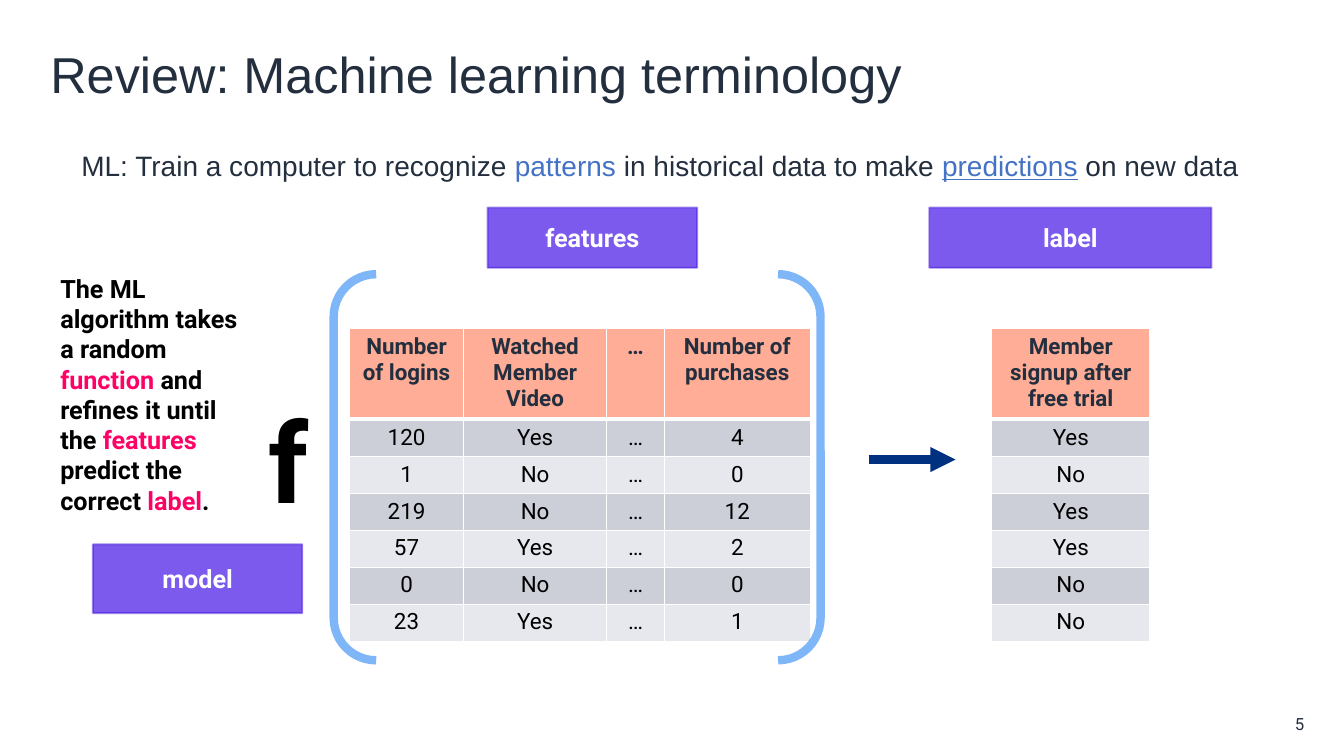
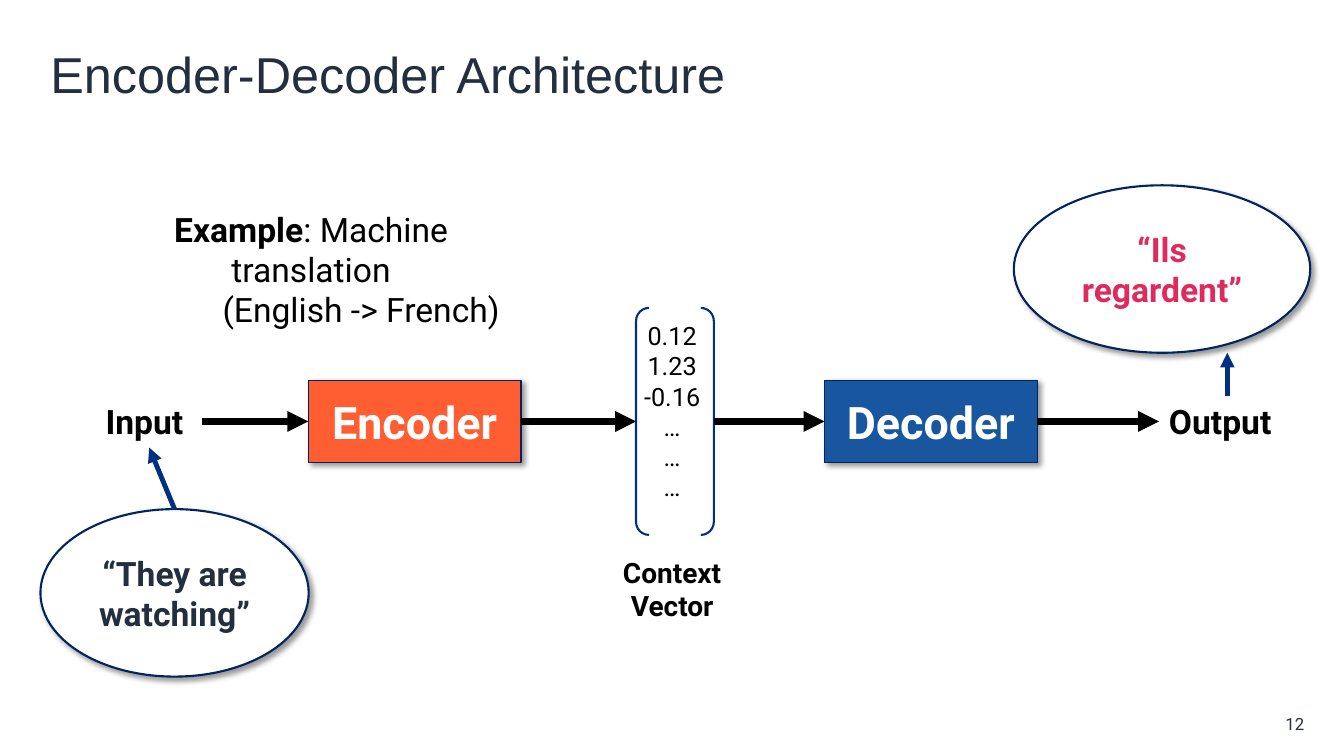
from lxml.etree import SubElement
from pptx import Presentation
from pptx.dml.color import RGBColor
from pptx.enum.shapes import MSO_CONNECTOR, MSO_SHAPE
from pptx.enum.text import MSO_ANCHOR as Anchor, PP_ALIGN as Align
from pptx.oxml.ns import qn
from pptx.util import Cm, Pt

INK, BLACK, WHITE = "232F3E", "000000", "FFFFFF"
NAVY, DEEP_NAVY, LINK, PINK = "003181", "00245F", "4472C4", "FF0066"
PURPLE, PURPLE_EDGE, BRACKET = "7C5AED", "4618DD", "006FF0"
HEADER_FILL, BAND_FILLS = "FFAD97", ("CCCED8", "E7E8ED")

TITLE = dict(name="Arial", size=36, color=INK)
SENTENCE = TITLE | dict(size=20)
NUMBER = dict(name="Roboto", size=12, color=INK)
BODY = dict(name="Roboto", size=18, color=BLACK)
STRONG = BODY | dict(bold=True)
LARGE = BODY | dict(size=24)
LARGE_STRONG = LARGE | dict(bold=True)
TAG = STRONG | dict(color=WHITE)
STAGE = TAG | dict(size=32)
CELL = BODY | dict(size=16)
HEADER = CELL | dict(color=INK, bold=True)

DEFINITION = [[
    ("ML: Train a computer to recognize ", {}),
    ("patterns", dict(color=LINK)),
    (" in historical data to make ", {}),
    ("predictions", dict(color=LINK, underline=True)),
    (" on new data", {}),
]]
ALGORITHM = [[
    ("The ML algorithm takes a random ", {}),
    ("function", dict(color=PINK)),
    (" and refines it until the ", {}),
    ("features", dict(color=PINK)),
    (" predict the correct ", {}),
    ("label", dict(color=PINK)),
    (".", {}),
]]
EXAMPLE = [
    [("Example", dict(bold=True)), (": Machine translation", {})],
    [("(English -> French)", {})],
]
VECTOR = ["0.12", "1.23", "-0.16", "…", "…", "…"]
TAGS = [
    ("features", (12.29, 5.23, 5.28, 1.52)),
    ("label", (23.42, 5.23, 7.11, 1.52)),
    ("model", (2.34, 13.72, 5.28, 1.73)),
]
TABLES = [
    (8.81, (2.87, 3.61, 1.45, 3.68), [
        ("Number of logins", "Watched Member Video", "…", "Number of purchases"),
        ("120", "Yes", "…", "4"),
        ("1", "No", "…", "0"),
        ("219", "No", "…", "12"),
        ("57", "Yes", "…", "2"),
        ("0", "No", "…", "0"),
        ("23", "Yes", "…", "1"),
    ]),
    (24.99, (3.99,), [
        ("Member signup after free trial",),
        ("Yes",), ("No",), ("Yes",), ("Yes",), ("No",), ("No",),
    ]),
]
TABLE_TOP, HEADER_HEIGHT, ROW_HEIGHT = 8.28, 2.17, 0.91
STAGES = [("Encoder", 7.77, "FF5D32"), ("Decoder", 20.78, "1857A0")]
BUBBLES = [
    ("“They are watching”", (1.02, 12.83, 6.76, 4.22), INK),
    ("“Ils regardent”", (25.55, 4.67, 7.47, 4.22), "DF2A5D"),
]
ENDS = [("Input", (2.41, 9.98, 2.69, 1.28)), ("Output", (29.21, 9.98, 3.44, 1.28))]
TOP, LEFT, RIGHT = 0, 1, 3


def rgb(value):
    return RGBColor.from_string(value)


def format_run(run, style):
    for key, value in style.items():
        if key == "color":
            run.font.color.rgb = rgb(value)
        else:
            setattr(run.font, key, Pt(value) if key == "size" else value)


def write(frame, paragraphs, style, align=Align.LEFT, anchor=Anchor.TOP):
    frame.word_wrap = True
    frame.vertical_anchor = anchor
    for index, runs in enumerate(paragraphs):
        paragraph = frame.add_paragraph() if index else frame.paragraphs[0]
        paragraph.alignment = align
        for text, changes in [(runs, {})] if isinstance(runs, str) else runs:
            run = paragraph.add_run()
            run.text = text
            format_run(run, style | changes)


def add_text(slide, box, paragraphs, style, **layout):
    shape = slide.shapes.add_textbox(*map(Cm, box))
    write(shape.text_frame, paragraphs, style, **layout)
    return shape


def set_line(shape, color, width, alpha=None):
    shape.line.color.rgb = rgb(color)
    shape.line.width = Pt(width)
    if alpha:
        paint = shape.line._get_or_add_ln().find(".//" + qn("a:srgbClr"))
        SubElement(paint, qn("a:alpha"), val=str(alpha * 1000))


def add_shadow(shape):
    effects = shape._element.spPr.find(qn("a:effectLst"))
    shadow = SubElement(effects, qn("a:outerShdw"), blurRad=str(Pt(4)),
                        dist=str(Pt(3)), dir=str(45 * 60000), algn="tl", rotWithShape="0")
    paint = SubElement(shadow, qn("a:srgbClr"), val=BLACK)
    SubElement(paint, qn("a:alpha"), val="40000")


def add_figure(slide, kind, box, line, fill=None, text=None, style=None, shadow=False):
    shape = slide.shapes.add_shape(kind, *map(Cm, box))
    shape.shadow.inherit = False
    if fill:
        shape.fill.solid()
        shape.fill.fore_color.rgb = rgb(fill)
    else:
        shape.fill.background()
    set_line(shape, *line)
    if shadow:
        add_shadow(shape)
    if text:
        write(shape.text_frame, [text], style, Align.CENTER, Anchor.MIDDLE)
    return shape


def add_arrow(slide, color, width, start=(0, 0), end=(0, 0), begin_at=None, end_at=None):
    arrow = slide.shapes.add_connector(MSO_CONNECTOR.STRAIGHT, *map(Cm, start + end))
    if begin_at:
        arrow.begin_connect(*begin_at)
    if end_at:
        arrow.end_connect(*end_at)
    set_line(arrow, color, width)
    SubElement(arrow.line._get_or_add_ln(), qn("a:tailEnd"), type="triangle")
    SubElement(arrow._element.spPr, qn("a:effectLst"))


def set_borders(cell, header):
    properties = cell._tc.get_or_add_tcPr()
    for side in "LRTB":
        width = 3 if header and side == "B" else 1
        border = SubElement(properties, qn("a:ln" + side), w=str(Pt(width)))
        SubElement(SubElement(border, qn("a:solidFill")), qn("a:srgbClr"), val=WHITE)


def add_data_table(slide, left, widths, rows):
    heights = [HEADER_HEIGHT] + [ROW_HEIGHT] * (len(rows) - 1)
    box = (left, TABLE_TOP, sum(widths), sum(heights))
    table = slide.shapes.add_table(len(rows), len(widths), *map(Cm, box)).table
    for column, width in zip(table.columns, widths):
        column.width = Cm(width)
    for index, (row, height, texts) in enumerate(zip(table.rows, heights, rows)):
        row.height = Cm(height)
        header = index == 0
        for cell, text in zip(row.cells, texts):
            set_borders(cell, header)
            cell.fill.solid()
            cell.fill.fore_color.rgb = rgb(HEADER_FILL if header else BAND_FILLS[(index - 1) % 2])
            write(cell.text_frame, [text], HEADER if header else CELL, Align.CENTER)


def add_slide(presentation, title, number):
    slide = presentation.slides.add_slide(presentation.slide_layouts[6])
    add_text(slide, (1.02, 0.84, 31.85, 2.03), [title], TITLE, anchor=Anchor.MIDDLE)
    footer = add_text(slide, (31.52, 17.91, 1.35, 0.64), [number], NUMBER,
                      align=Align.RIGHT, anchor=Anchor.MIDDLE)
    for side in ("left", "top", "right", "bottom"):
        setattr(footer.text_frame, "margin_" + side, 0)
    return slide


def build_terminology(presentation):
    slide = add_slide(presentation, "Review: Machine learning terminology", "5")
    add_text(slide, (1.8, 3.15, 30.35, 2.03), DEFINITION, SENTENCE, anchor=Anchor.MIDDLE)
    for table in TABLES:
        add_data_table(slide, *table)
    for text, box in TAGS:
        add_figure(slide, MSO_SHAPE.RECTANGLE, box, (PURPLE_EDGE, 1.35, 50), PURPLE, text, TAG)
    add_text(slide, (6.53, 9.75, 2.46, 3.68), ["f"], STRONG | dict(size=80))
    bracket = add_figure(slide, MSO_SHAPE.DOUBLE_BRACKET, (8.41, 6.91, 12.27, 9.73),
                         (BRACKET, 6, 50))
    bracket.adjustments[0] = 0.11
    add_arrow(slide, NAVY, 6, (21.89, 11.58), (24.08, 11.58))
    add_text(slide, (1.27, 6.76, 5.23, 4.88), ALGORITHM, STRONG)


def build_architecture(presentation):
    slide = add_slide(presentation, "Encoder-Decoder Architecture", "12")
    example = add_text(slide, (2.11, 5.13, 11.46, 2.31), EXAMPLE, LARGE, align=Align.CENTER)
    languages = example.text_frame.paragraphs[1]._p.get_or_add_pPr()
    languages.set("marL", str(Cm(2.52)))
    source, _ = [
        add_figure(slide, MSO_SHAPE.OVAL, box, (DEEP_NAVY, 1.5), WHITE, text,
                   LARGE_STRONG | dict(color=color), True)
        for text, box, color in BUBBLES
    ]
    entry, result = [add_text(slide, box, [text], LARGE_STRONG) for text, box in ENDS]
    encoder, decoder = [
        add_figure(slide, MSO_SHAPE.RECTANGLE, (left, 9.58, 5.36, 2.08), (DEEP_NAVY, 0.85),
                   fill, text, STAGE, True)
        for text, left, fill in STAGES
    ]
    add_text(slide, (15.82, 7.95, 2.24, 4.88), VECTOR, BODY, align=Align.CENTER)
    vector = add_figure(slide, MSO_SHAPE.DOUBLE_BRACKET, (16.03, 7.76, 1.96, 5.72), (NAVY, 1.5))
    add_text(slide, (14.96, 13.87, 3.96, 1.96), ["Context Vector"], STRONG | dict(size=20),
             align=Align.CENTER)
    chain = [entry, encoder, vector, decoder, result]
    for before, after in zip(chain, chain[1:]):
        add_arrow(slide, BLACK, 5, begin_at=(before, RIGHT), end_at=(after, LEFT))
    add_arrow(slide, NAVY, 3.5, end=(3.76, 11.28), begin_at=(source, TOP))
    add_arrow(slide, NAVY, 3.5, end=(30.93, 8.89), begin_at=(result, TOP))


def main():
    presentation = Presentation()
    presentation.slide_width, presentation.slide_height = Cm(33.87), Cm(19.05)
    build_terminology(presentation)
    build_architecture(presentation)
    presentation.save("out.pptx")


if __name__ == "__main__":
    main()
